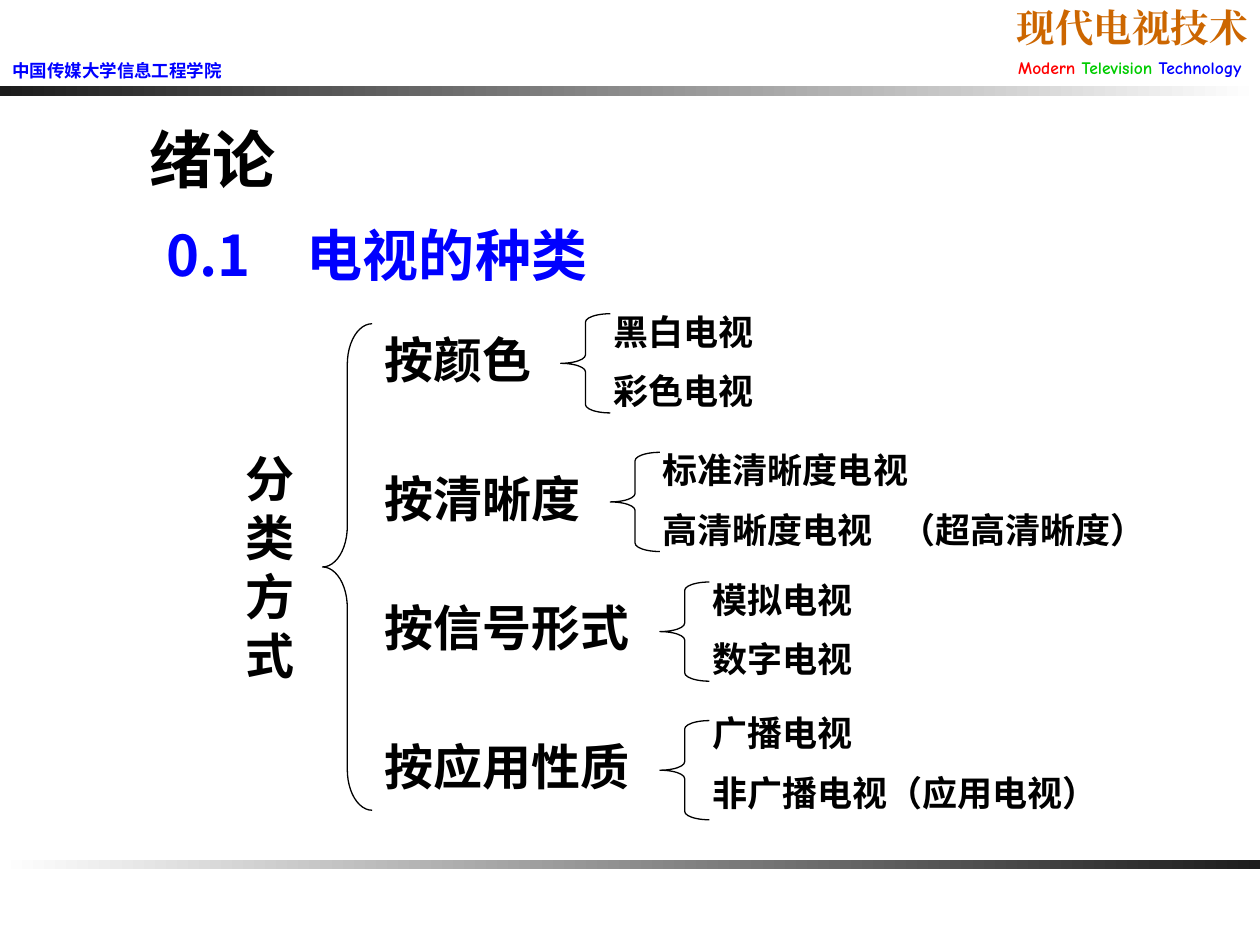
from dataclasses import dataclass

from lxml import etree
from pptx import Presentation
from pptx.dml.color import RGBColor
from pptx.enum import shapes, text
from pptx.oxml import ns
from pptx.util import Pt

COLORS = {
    "black": "000000", "white": "FFFFFF", "dark": "1C1C1C", "orange": "CC6600",
    "red": "FF0000", "green": "00CC00", "blue": "0000FF",
}
SANS, GOTHIC = "Noto Sans CJK SC", "TeX Gyre Adventor"
COMIC, SERIF = "Comic Neue", "Times New Roman"
BRACE_W, BRACE_H = 28.35, 56.7
CATEGORY_X, ITEM_DX, ITEM_STEP = 212.6, 22.9, 34.1


@dataclass
class Run:
    text: str
    size: float
    font: str
    color: str = "black"
    bold: bool = True


@dataclass
class Box:
    x: float
    y: float
    w: float
    h: float


@dataclass
class Branch:
    name: str
    name_w: float
    brace_x: float
    brace_y: float
    items: tuple[str, str]
    item_widths: tuple[float, float]
    item_dy: float = -5.7


BRANCHES = [
    Branch("按颜色", 153, 320.4, 179.3, ("黑白电视", "彩色电视"), (142, 142)),
    Branch("按清晰度", 153, 348.75, 258.5,
           ("标准清晰度电视", "高清晰度电视"), (227, 227)),
    Branch("按信号形式", 176, 377.1, 332.6, ("模拟电视", "数字电视"), (227, 227)),
    Branch("按应用性质", 176, 377.1, 411.8,
           ("广播电视", "非广播电视（应用电视）"), (227, 255), -8.6),
]


def rgb(name: str) -> RGBColor:
    return RGBColor.from_string(COLORS[name])


def place(sp, box: Box) -> None:
    sp.left, sp.top = Pt(box.x), Pt(box.y)
    sp.width, sp.height = Pt(box.w), Pt(box.h)


def write(sp, lines: list[list[Run]], align=text.PP_ALIGN.LEFT,
          anchor=text.MSO_ANCHOR.TOP) -> None:
    tf = sp.text_frame
    tf.word_wrap = True
    tf.auto_size = text.MSO_AUTO_SIZE.NONE
    tf.vertical_anchor = anchor
    for i, runs in enumerate(lines):
        p = tf.paragraphs[0] if i == 0 else tf.add_paragraph()
        p.alignment = align
        p.space_before = Pt(0)
        for run in runs:
            r = p.add_run()
            r.text = run.text
            r.font.size, r.font.bold = Pt(run.size), run.bold
            r.font.name = run.font
            r.font.color.rgb = rgb(run.color)
            latin = r.font._element.find(ns.qn("a:latin"))
            ea = etree.Element(ns.qn("a:ea"), typeface=run.font)
            latin.addnext(ea)


def add_text(s, box: Box, lines: list[list[Run]], **options) -> None:
    sp = s.shapes.add_textbox(Pt(box.x), Pt(box.y), Pt(box.w), Pt(box.h))
    write(sp, lines, **options)


def add_rule(s, y: float, right: str, left: str) -> None:
    sp = s.shapes.add_shape(shapes.MSO_SHAPE.RECTANGLE, 0, Pt(y), Pt(720), Pt(5.5))
    sp.shadow.inherit = False
    sp.line.fill.background()
    sp.fill.gradient()
    sp.fill.gradient_angle = 180
    for stop, color, position in zip(sp.fill.gradient_stops, (right, left), (0, 1)):
        stop.color.rgb = rgb(color)
        stop.position = position


def add_brace(s, box: Box, curve: float) -> None:
    sp = s.shapes.add_shape(shapes.MSO_SHAPE.LEFT_BRACE,
                            Pt(box.x), Pt(box.y), Pt(box.w), Pt(box.h))
    sp.adjustments[0] = curve
    sp.adjustments[1] = 0.5
    sp.shadow.inherit = False
    sp.fill.background()
    sp.line.color.rgb = rgb("black")
    sp.line.width = Pt(0.75)


def add_branch(s, b: Branch) -> None:
    add_text(s, Box(CATEGORY_X, b.brace_y + 5.5, b.name_w, 41),
             [[Run(b.name, 28, SANS)]])
    add_brace(s, Box(b.brace_x, b.brace_y, BRACE_W, BRACE_H), 0.17)
    for i, (item, width) in enumerate(zip(b.items, b.item_widths)):
        y = b.brace_y + b.item_dy + i * ITEM_STEP
        add_text(s, Box(b.brace_x + ITEM_DX, y, width, 31.5),
                 [[Run(item, 20, GOTHIC)]])


def main() -> None:
    prs = Presentation()
    prs.slide_width, prs.slide_height = Pt(720), Pt(540)
    s = prs.slides.add_slide(prs.slide_layouts[1])

    # Header and footer
    add_rule(s, 49.2, "white", "dark")
    add_text(s, Box(496, 18.6, 224, 30.4), [
        [Run("现代电视技术", 22, SERIF, "orange")],
        [Run("Modern ", 10, COMIC, "red"), Run("Television ", 10, COMIC, "green"),
         Run("Technology", 10, COMIC, "blue"), Run(" ", 14, SERIF, bold=False)],
    ], align=text.PP_ALIGN.RIGHT, anchor=text.MSO_ANCHOR.BOTTOM)
    add_text(s, Box(0, 31, 145, 19.5),
             [[Run("中国传媒大学信息工程学院", 10, GOTHIC, "blue")]])
    add_rule(s, 491.2, "dark", "white")

    # Chapter title and section heading
    title, body = s.placeholders
    place(title, Box(78, 65.5, 378, 50.5))
    write(title, [[Run("绪论", 36, SANS)]])
    place(body, Box(88, 122.5, 345, 46))
    p_pr = body.text_frame.paragraphs[0]._p.get_or_add_pPr()
    p_pr.set("marL", "0")
    p_pr.set("indent", "0")
    etree.SubElement(p_pr, ns.qn("a:buNone"))
    write(body, [[Run("0.1　电视的种类", 32, SANS, "blue")]])

    # Classification tree
    add_text(s, Box(133, 253, 51, 142), [[Run(c, 28, SANS)] for c in "分类方式"])
    add_brace(s, Box(184.3, 185, BRACE_W, 278), 0.82)
    for branch in BRANCHES:
        add_branch(s, branch)
    add_text(s, Box(507.5, 287, 158.5, 31.5), [[Run("（超高清晰度）", 20, GOTHIC)]])

    prs.save("out.pptx")


if __name__ == "__main__":
    main()
